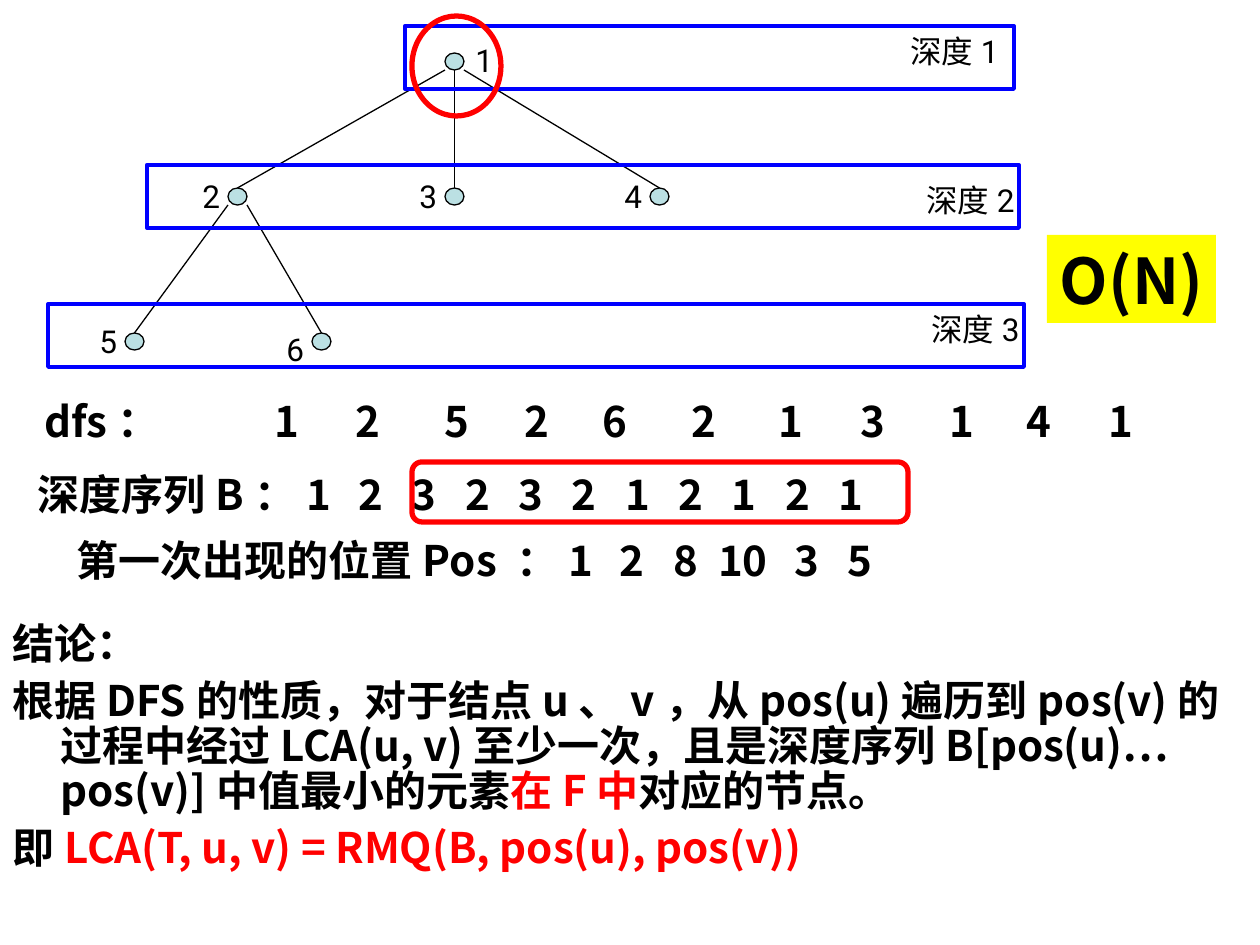
from pptx import Presentation
from pptx.dml.color import RGBColor
from pptx.enum.shapes import MSO_CONNECTOR as CONN, MSO_SHAPE as SHAPE
from pptx.enum.text import MSO_ANCHOR, PP_ALIGN
from pptx.oxml.ns import qn
from pptx.oxml.xmlchemy import OxmlElement
from pptx.util import Pt

PX = 914400 // 126
SANS, LATIN = "Noto Sans CJK SC", "Roboto"
COLORS = {"black": "000000", "red": "FF0000", "blue": "0000FF",
          "yellow": "FFFF00", "node": "BBE0E3"}

NODE_W, NODE_H = 19, 17
NODES = {
    "1": (445, 53, 18, -18),
    "2": (228, 188, -38, -17),
    "3": (445, 188, -38, -17),
    "4": (650, 188, -38, -17),
    "5": (125, 333, -38, -17),
    "6": (312, 333, -38, -9),
}
EDGES = [("1", "2"), ("1", "3"), ("1", "4"), ("2", "5"), ("2", "6")]
LEVELS = [
    ("深度1", (405, 26, 609, 63), (898, 26)),
    ("深度2", (147, 165, 872, 63), (914, 175)),
    ("深度3", (48, 304, 976, 63), (919, 304)),
]
DFS = [("1", 262), ("2", 343), ("5", 432), ("2", 512), ("6", 590), ("2", 679),
       ("1", 766), ("3", 848), ("1", 937), ("4", 1014), ("1", 1096)]
DEPTHS = ["1", "2", "3", "2", "3", "2", "1", "2", "1", "2", "1"]
DEPTH_X, DEPTH_STEP = 318, 53.3
FIRST_POS = [("1", 579), ("2", 632), ("8", 686), ("10", 743), ("3", 807), ("5", 860)]
CONCLUSION = [
    [("结论：", "black")],
    [("根据DFS的性质，对于结点u、v，从pos(u)遍历到pos(v)的", "black"),
     None,
     ("过程中经过LCA(u, v)至少一次，且是深度序列B[pos(u)…pos(v)]中值最小的元素", "black"),
     ("在F中", "red"), ("对应的节点。", "black")],
    [("即", "black"), ("LCA(T, u, v) = RMQ(B, pos(u), pos(v))", "red")],
]

prs = Presentation()
prs.slide_width, prs.slide_height = 1260 * PX, 945 * PX
s = prs.slides.add_slide(prs.slide_layouts[6])


def emu(*lengths):
    return [round(v * PX) for v in lengths]


def rgb(name):
    return RGBColor.from_string(COLORS[name])


def add_run(p, text, size=24, font=SANS, bold=True, color="black"):
    r = p.add_run()
    r.text = text
    r.font.size, r.font.bold, r.font.name = Pt(size), bold, font
    r.font.color.rgb = rgb(color)
    ea = OxmlElement("a:ea")
    ea.set("typeface", SANS)
    r.font._element.find(qn("a:latin")).addnext(ea)


def add_box(x, y, w, h):
    tf = s.shapes.add_textbox(*emu(x, y, w, h)).text_frame
    tf.word_wrap = True
    return tf


def add_label(text, x, y, w, h=63, before=15, **style):
    tf = add_box(x, y, w, h)
    p = tf.paragraphs[0]
    p.space_before = Pt(before)
    add_run(p, text, **style)
    return tf


def set_tabs(p, centers, origin):
    tabs = OxmlElement("a:tabLst")
    for center in centers:
        tab = OxmlElement("a:tab")
        tab.set("pos", str(round((center - origin) * PX)))
        tab.set("algn", "ctr")
        tabs.append(tab)
    p._p.get_or_add_pPr().append(tabs)


def add_series(tf, label, values, centers, origin):
    p = tf.paragraphs[0]
    set_tabs(p, centers[1:], origin)
    add_run(p, label + "\t".join(values))


def add_shape(kind, x, y, w, h, fill=None, line=None, width=0.75):
    sp = s.shapes.add_shape(kind, *emu(x, y, w, h))
    sp.shadow.inherit = False
    if fill:
        sp.fill.solid()
        sp.fill.fore_color.rgb = rgb(fill)
    else:
        sp.fill.background()
    if line:
        sp.line.color.rgb, sp.line.width = rgb(line), Pt(width)
    else:
        sp.line.fill.background()
    return sp


for x, y, dx, dy in NODES.values():
    add_shape(SHAPE.OVAL, x, y, NODE_W, NODE_H, "node", "black")

for parent, child in EDGES:
    (px, py), (cx, cy) = NODES[parent][:2], NODES[child][:2]
    side = (cx > px) - (cx < px)
    mid = NODE_W / 2
    edge = s.shapes.add_connector(CONN.STRAIGHT, *emu(
        px + mid + side * mid, py + NODE_H, cx + mid, cy))
    edge.line.color.rgb, edge.line.width = rgb("black"), Pt(0.75)
    edge._element.spPr.append(OxmlElement("a:effectLst"))

small = dict(h=50, before=11, size=18, font=LATIN, bold=False)
for name, (x, y, dx, dy) in NODES.items():
    add_label(name, x + dx, y + dy, 141, **small)

for name, frame, (x, y) in LEVELS:
    add_shape(SHAPE.RECTANGLE, *frame, line="blue", width=2.25)
    add_label(name, x, y, 158, **small)

add_label("dfs：", 32, 389, 262)
for value, x in DFS:
    add_label(value, x, 389, 42)

tf = add_label("第一次出现的位置", 34, 528, 1020)
tf.margin_left = 43 * PX
values, centers = zip(*FIRST_POS)
add_series(tf, "Pos ：", values, centers, 34 + 43)

tf = add_label("深度序列", 25, 462, 1206, 113)
centers = [DEPTH_X + i * DEPTH_STEP for i in range(len(DEPTHS))]
add_series(tf, "B：", DEPTHS, centers, 25 + 12.6)

tf = add_box(0, 617, 1300, 328)
for i, parts in enumerate(CONCLUSION):
    p = tf.add_paragraph() if i else tf.paragraphs[0]
    p.line_spacing, p.space_before = 0.9, Pt(6.5)
    pPr = p._p.get_or_add_pPr()
    pPr.set("marL", str(48 * PX))
    pPr.set("indent", str(-48 * PX))
    for part in parts:
        if part:
            add_run(p, part[0], color=part[1])
        else:
            p.add_line_break()

add_shape(SHAPE.OVAL, 412, 16, 89, 100, line="red", width=3)
add_shape(SHAPE.ROUNDED_RECTANGLE, 412, 462, 496, 60, line="red", width=3)

badge = add_shape(SHAPE.RECTANGLE, 1047, 235, 169, 88, fill="yellow")
tf = badge.text_frame
tf.vertical_anchor = MSO_ANCHOR.MIDDLE
tf.paragraphs[0].alignment = PP_ALIGN.CENTER
add_run(tf.paragraphs[0], "O(N)", size=36)

prs.save("out.pptx")
